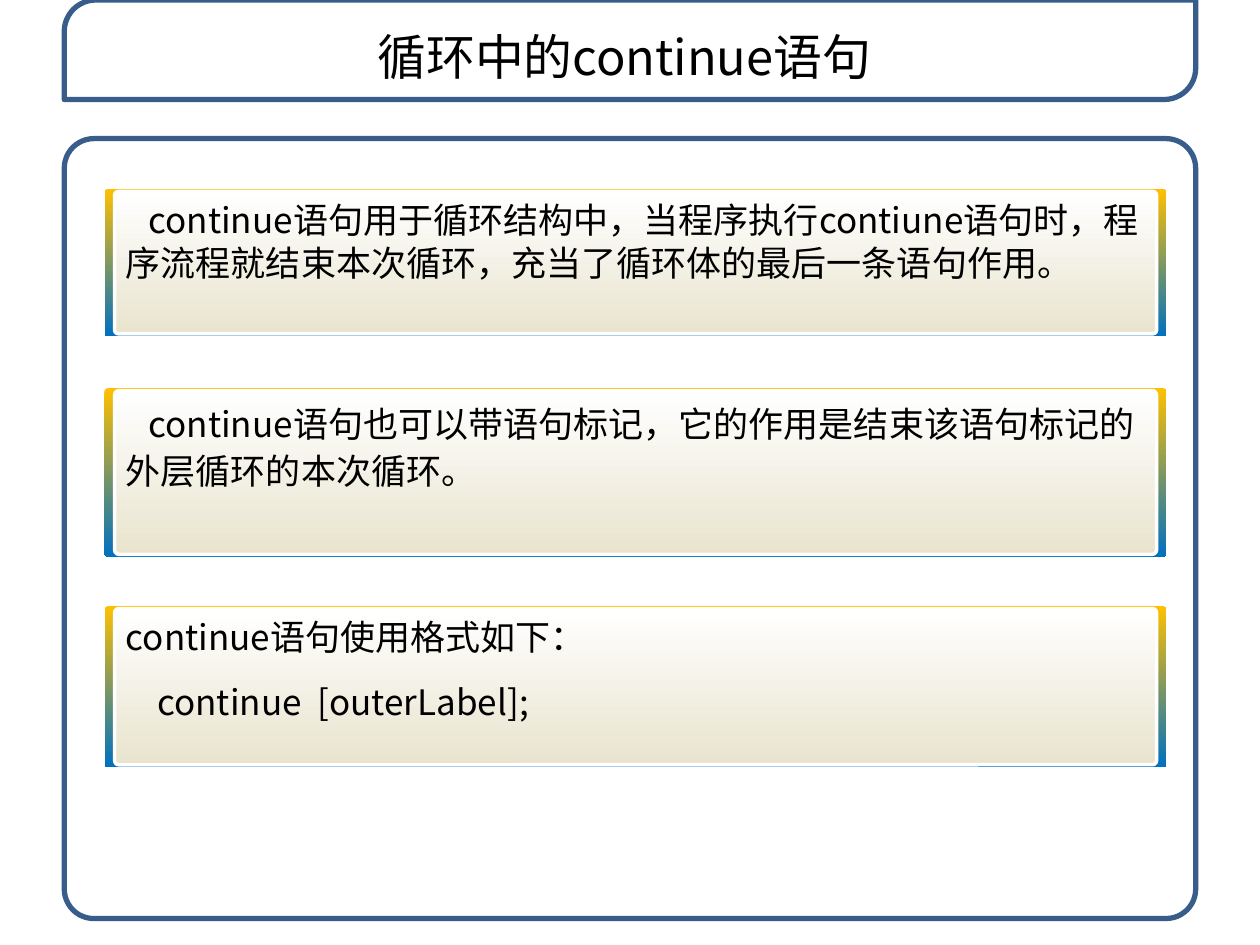
from pptx import Presentation
from pptx.dml.color import RGBColor
from pptx.enum.shapes import MSO_SHAPE
from pptx.enum.text import MSO_ANCHOR, MSO_AUTO_SIZE, PP_ALIGN
from pptx.oxml.ns import qn
from pptx.util import Inches, Pt
from lxml.etree import SubElement

WHITE = RGBColor(0xFF, 0xFF, 0xFF)
BLACK = RGBColor(0x00, 0x00, 0x00)
NAVY = RGBColor(0x38, 0x5D, 0x8A)
AMBER = RGBColor(0xFF, 0xC0, 0x00)
BLUE = RGBColor(0x00, 0x70, 0xC0)
SAND = RGBColor(0xE8, 0xE4, 0xCE)
FONT = "Noto Sans CJK SC"


def add_block(shapes, kind, box, rounding, colors, line_color, line_width):
    shape = shapes.add_shape(kind, *[Inches(length) for length in box])
    shape.shadow.inherit = False
    shape.adjustments[0] = rounding
    if len(colors) == 1:
        shape.fill.solid()
        shape.fill.fore_color.rgb = colors[0]
    else:
        shape.fill.gradient()
        shape.fill.gradient_angle = 270
        for stop, color, position in zip(shape.fill.gradient_stops, colors, (0, 1)):
            stop.color.rgb = color
            stop.position = position
    if line_color is None:
        shape.line.fill.background()
    else:
        shape.line.color.rgb = line_color
        shape.line.width = Pt(line_width)


def format_paragraph(paragraph, size, line_spacing):
    paragraph.line_spacing = Pt(line_spacing)
    for run in paragraph.runs:
        run.font.size = Pt(size)
        run.font.name = FONT
        run.font.color.rgb = BLACK
        SubElement(run.font._element, qn("a:ea")).set("typeface", FONT)


presentation = Presentation()
presentation.slide_width = Inches(10)
presentation.slide_height = Inches(7.5)
slide = presentation.slides.add_slide(presentation.slide_layouts[5])

margin, frame_width = 0.51, 8.98
add_block(slide.shapes, MSO_SHAPE.ROUNDED_RECTANGLE, (margin, 1.1, frame_width, 6.19),
          0.038, [WHITE], NAVY, 3)
add_block(slide.shapes, MSO_SHAPE.ROUND_2_DIAG_RECTANGLE, (margin, 0, frame_width, 0.79),
          0.316, [WHITE], NAVY, 3)

cards = [
    (1.5, 1.17, 24.6, 0.18,
     ["continue语句用于循环结构中，当程序执行contiune语句时，程序流程就结束本次循环，充当了循环体的最后一条语句作用。"]),
    (3.08, 1.34, 27, 0.18,
     ["continue语句也可以带语句标记，它的作用是结束该语句标记的外层循环的本次循环。"]),
    (4.81, 1.28, 24.6, 0,
     ["continue语句使用格式如下：", "    continue  [outerLabel];"]),
]
card_left, card_width, rim, inset = 0.83, 8.43, 0.08, 0.02
panel_left, panel_width = card_left + rim, card_width - 2 * rim

for top, height, line_spacing, indent, lines in cards:
    group = slide.shapes.add_group_shape()
    panel = (panel_left, top + inset, panel_width, height - 2 * inset)
    add_block(group.shapes, MSO_SHAPE.ROUNDED_RECTANGLE, (card_left, top, card_width, height),
              0.024, [AMBER, BLUE], None, 0)
    add_block(group.shapes, MSO_SHAPE.ROUNDED_RECTANGLE, panel,
              0.027, [WHITE, SAND], WHITE, 2)
    text_height = 0.1 + (2 * line_spacing + 12.5 * (len(lines) - 1)) / 72
    text_box = group.shapes.add_textbox(Inches(0.9), Inches(top + inset),
                                        Inches(panel_width), Inches(text_height))
    text_frame = text_box.text_frame
    text_frame.word_wrap = True
    text_frame.text = "\n".join(lines)
    for index, paragraph in enumerate(text_frame.paragraphs):
        paragraph.space_before = Pt(12.5 if index else 0)
        paragraph._p.get_or_add_pPr().set("indent", str(Inches(indent)))
        format_paragraph(paragraph, 20, line_spacing)

title = slide.shapes.title
title.left, title.top, title.width, title.height = [
    Inches(length) for length in (0.5, 0.13, 8.91, 0.6)]
title.text_frame.text = "循环中的continue语句"
title.text_frame.word_wrap = True
title.text_frame.auto_size = MSO_AUTO_SIZE.NONE
title.text_frame.vertical_anchor = MSO_ANCHOR.TOP
title.text_frame.margin_left = title.text_frame.margin_right = Inches(0.16)
title_paragraph = title.text_frame.paragraphs[0]
title_paragraph.alignment = PP_ALIGN.CENTER
title_paragraph.space_before = Pt(0)
format_paragraph(title_paragraph, 27.9, 36)
slide.shapes._spTree.append(title._element)

presentation.save("out.pptx")
